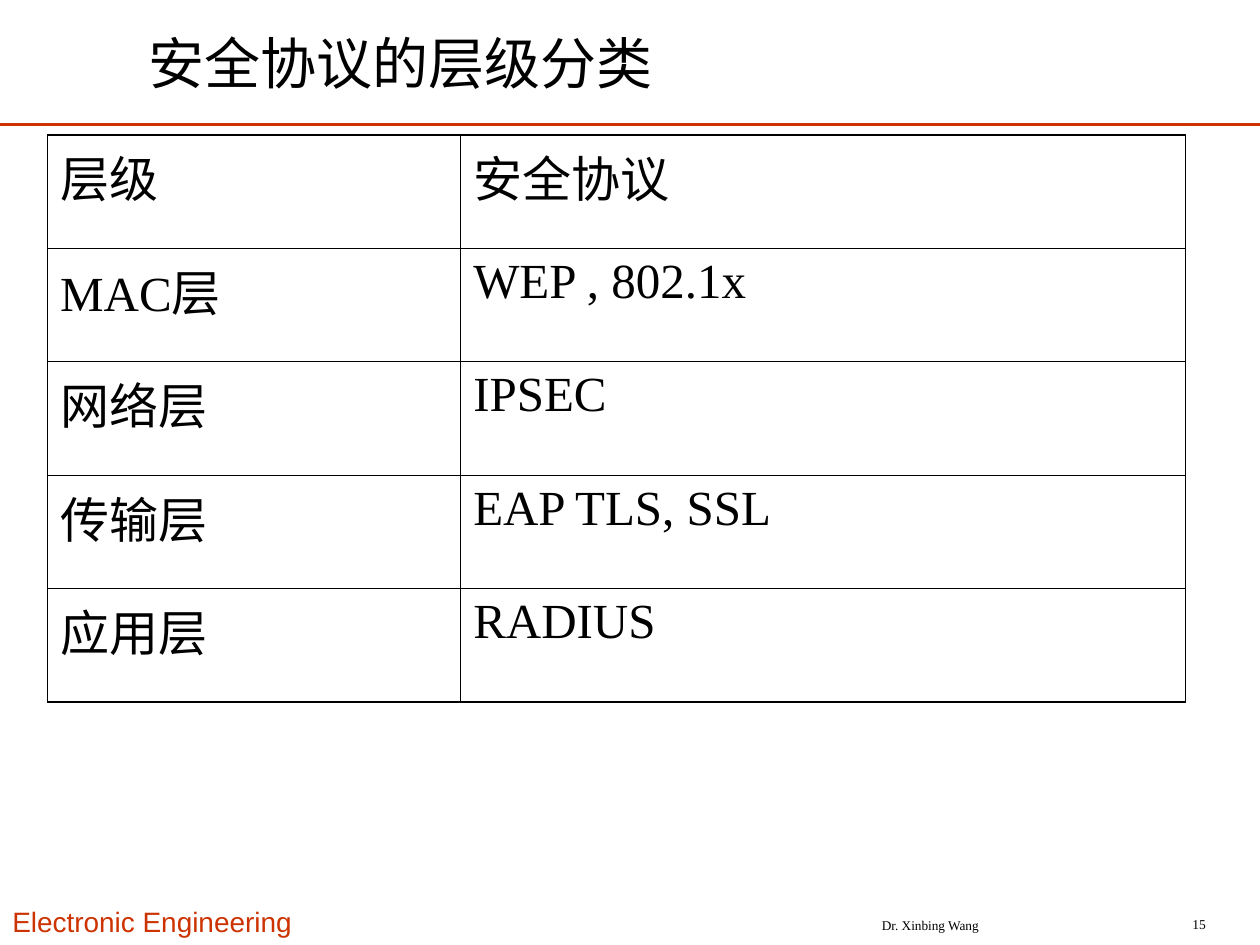
from lxml import etree
from pptx import Presentation
from pptx import util as u
from pptx.dml.color import RGBColor
from pptx.enum import shapes, text
from pptx.oxml import ns

COLOURS = {"ink": "000000", "accent": "CC3300", "paper": "FFFFFF"}
SERIF, SANS = "Times New Roman", "Arial"
PAGE_WIDTH, PAGE_HEIGHT = 25.4, 19.05
THIN, THICK = 0.45, 1.08

ROWS = [
    ("层级", "安全协议"),
    ("MAC层", "WEP , 802.1x"),
    ("网络层", "IPSEC"),
    ("传输层", "EAP TLS, SSL"),
    ("应用层", "RADIUS"),
]
COLUMN_SHARES = (0.363, 0.637)


def colour(name):
    return RGBColor.from_string(COLOURS[name])


def write(frame, words, size, name=SERIF, ink="ink", align=text.PP_ALIGN.LEFT):
    para = frame.paragraphs[0]
    para.alignment = align
    span = para.add_run()
    span.text = words
    for key, value in {"size": u.Pt(size), "name": name}.items():
        setattr(span.font, key, value)
    span.font.color.rgb = colour(ink)


def add_label(page, area, words, size, anchor=text.MSO_ANCHOR.MIDDLE, **style):
    box = page.shapes.add_textbox(*(u.Cm(length) for length in area))
    box.text_frame.word_wrap = True
    box.text_frame.vertical_anchor = anchor
    write(box.text_frame, words, size, **style)


def add_header(page, left, top, width, height):
    # Title above a full-width rule
    add_label(page, (left + 2.74, top + 0.38, 21.77, 1.75),
              "安全协议的层级分类", 32)
    base = u.Cm(top + height)
    rule = page.shapes.add_connector(
        shapes.MSO_CONNECTOR.STRAIGHT, u.Cm(left), base, u.Cm(left + width), base)
    rule.line.color.rgb = colour("accent")
    rule.line.width = u.Pt(1.5)
    etree.SubElement(rule.element.spPr, ns.qn("a:effectLst"))


def set_borders(cell, widths):
    properties = cell._tc.get_or_add_tcPr()
    for side, width in widths.items():
        line = etree.SubElement(properties, ns.qn(f"a:ln{side}"), w=str(u.Pt(width)))
        fill = etree.SubElement(line, ns.qn("a:solidFill"))
        etree.SubElement(fill, ns.qn("a:srgbClr"), val=COLOURS["ink"])


def add_protocol_table(page, left, top, width, height):
    frame = page.shapes.add_table(
        len(ROWS), len(COLUMN_SHARES), *(u.Cm(n) for n in (left, top, width, height)))
    table = frame.table
    table.first_row = table.horz_banding = False
    for column, share in zip(table.columns, COLUMN_SHARES):
        column.width = u.Cm(width * share)
    for row in table.rows:
        row.height = u.Cm(height / len(ROWS))

    # Thick outer edges, thin inner ones
    last_row, last_column = len(ROWS) - 1, len(COLUMN_SHARES) - 1
    for r, row in enumerate(ROWS):
        for c, words in enumerate(row):
            cell = table.cell(r, c)
            outer = {"L": c == 0, "R": c == last_column,
                     "T": r == 0, "B": r == last_row}
            set_borders(cell, {side: THICK if edge else THIN
                               for side, edge in outer.items()})
            cell.fill.background()
            write(cell.text_frame, words, 28)


def add_footer(page, left, top, width, height):
    # Department, author and page number
    add_label(page, (left, top, 7.6, height), "Electronic Engineering", 16,
              anchor=text.MSO_ANCHOR.TOP, name=SANS, ink="accent")
    add_label(page, (left + 15.67, top + 0.23, 6.17, 0.64), "Dr. Xinbing Wang", 7.6,
              align=text.PP_ALIGN.CENTER)
    add_label(page, (left + width - 2.95, top + 0.2, 2.11, 0.64), "15", 7.7,
              align=text.PP_ALIGN.RIGHT)


def main():
    deck = Presentation()
    deck.slide_width, deck.slide_height = u.Cm(PAGE_WIDTH), u.Cm(PAGE_HEIGHT)
    page = deck.slides.add_slide(deck.slide_layouts[6])
    page.background.fill.solid()
    page.background.fill.fore_color.rgb = colour("paper")

    add_header(page, 0, 0, PAGE_WIDTH, 2.51)
    add_protocol_table(page, 0.96, 2.72, 22.94, 11.43)
    add_footer(page, 0, 18.11, PAGE_WIDTH, 0.94)
    deck.save("out.pptx")


if __name__ == "__main__":
    main()
